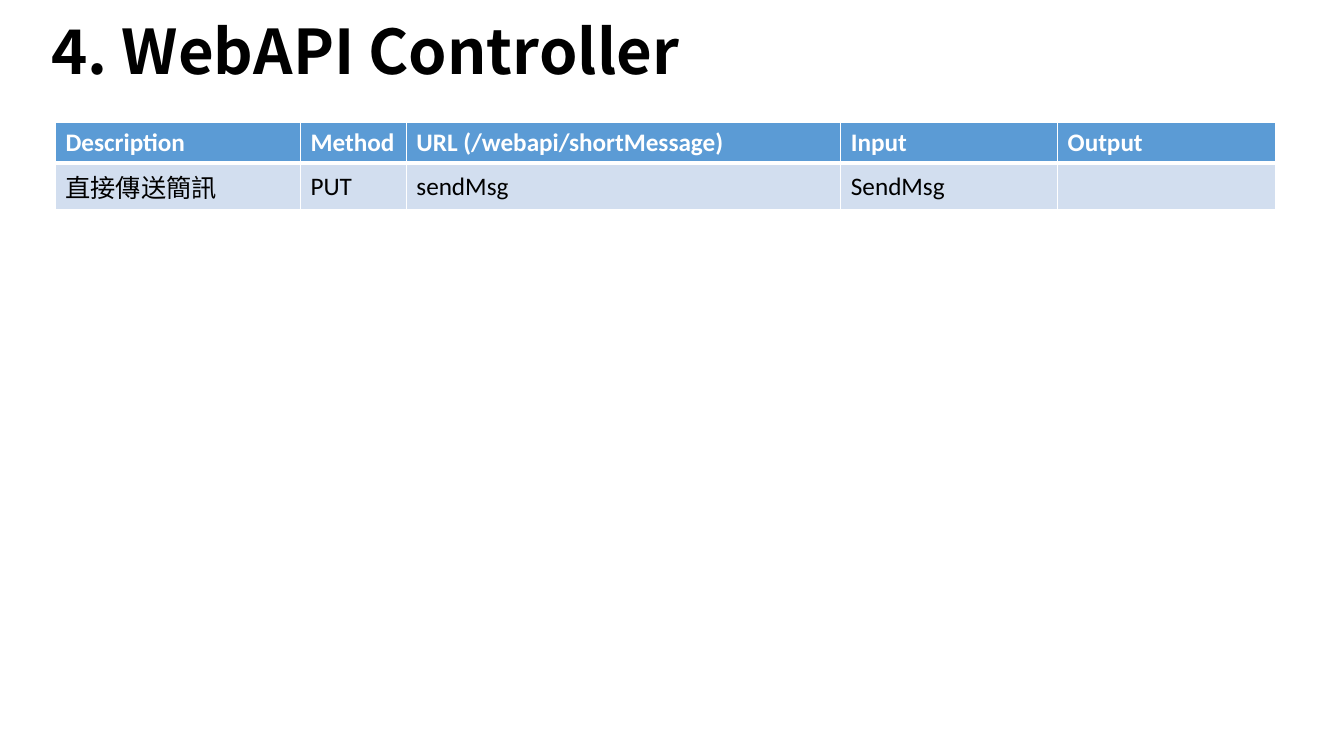
from dataclasses import dataclass

from lxml import etree
from pptx import Presentation
from pptx import util as u
from pptx.dml.color import RGBColor
from pptx.enum import text
from pptx.oxml.ns import qn


@dataclass(frozen=True)
class Theme:
    latin: str = "Calibri"
    cjk: str = "Noto Sans CJK SC"
    white: str = "FFFFFF"
    black: str = "000000"
    header: str = "5B9BD5"
    body: str = "D2DEEF"
    title_size: int = 44
    table_size: int = 18
    border: float = 1
    header_rule: float = 3


@dataclass(frozen=True)
class Column:
    heading: str
    width: float
    value: str
    font: str = Theme.latin


THEME = Theme()
COLUMNS = [
    Column("Description", 2.43, "直接傳送簡訊", THEME.cjk),
    Column("Method", 1.05, "PUT"),
    Column("URL (/webapi/shortMessage)", 4.31, "sendMsg"),
    Column("Input", 2.15, "SendMsg"),
    Column("Output", 2.16, ""),
]
ROW_HEIGHT = 0.41


def write(tf, content: str, font: str, size: int, color: str, bold: bool):
    """Put one formatted, left-aligned run into a text frame."""
    p = tf.paragraphs[0]
    p.alignment = text.PP_ALIGN.LEFT
    p.font.size = u.Pt(size)
    if not content:
        return p
    r = p.add_run()
    r.text = content
    for name, value in {"name": font, "size": u.Pt(size), "bold": bold}.items():
        setattr(r.font, name, value)
    r.font.color.rgb = RGBColor.from_string(color)
    # East Asian typeface follows the Latin one
    ea = etree.SubElement(r.font._element, qn("a:ea"))
    ea.set("typeface", font)
    return p


def add_borders(cell, top: float, bottom: float) -> None:
    """Draw white borders; they must precede the cell fill in the XML."""
    tc_pr = cell._tc.get_or_add_tcPr()
    widths = {"L": THEME.border, "R": THEME.border, "T": top, "B": bottom}
    for side, width in widths.items():
        ln = etree.SubElement(tc_pr, qn(f"a:ln{side}"), w=str(u.Pt(width)))
        fill = etree.SubElement(ln, qn("a:solidFill"))
        etree.SubElement(fill, qn("a:srgbClr"), val=THEME.white)


def fill_cell(cell, content: str, font: str, is_header: bool) -> None:
    rule, thin = THEME.header_rule, THEME.border
    add_borders(cell, thin if is_header else rule, rule if is_header else thin)
    cell.fill.solid()
    cell.fill.fore_color.rgb = RGBColor.from_string(
        THEME.header if is_header else THEME.body)
    cell.vertical_anchor = text.MSO_ANCHOR.MIDDLE
    write(cell.text_frame, content, font, THEME.table_size,
          THEME.white if is_header else THEME.black, is_header)


prs = Presentation()
prs.slide_width, prs.slide_height = u.Inches(13.33), u.Inches(7.5)
slide = prs.slides.add_slide(prs.slide_layouts[5])

# Title
title = slide.shapes.title
box = {"left": 0.41, "top": -0.1, "width": 9.3, "height": 1.28}
for name, value in box.items():
    setattr(title, name, u.Inches(value))
tf = title.text_frame
tf.vertical_anchor = text.MSO_ANCHOR.MIDDLE
tf.auto_size = text.MSO_AUTO_SIZE.NONE
p = write(tf, "4. WebAPI Controller", THEME.cjk, THEME.title_size, THEME.black, True)
p.line_spacing = 0.9

# Endpoint table
table = slide.shapes.add_table(
    2, len(COLUMNS), u.Inches(0.55), u.Inches(1.21),
    u.Inches(sum(c.width for c in COLUMNS)), u.Inches(2 * ROW_HEIGHT)).table
for row in table.rows:
    row.height = u.Inches(ROW_HEIGHT)
for i, column in enumerate(COLUMNS):
    table.columns[i].width = u.Inches(column.width)
    fill_cell(table.cell(0, i), column.heading, THEME.latin, True)
    fill_cell(table.cell(1, i), column.value, column.font, False)

prs.save("out.pptx")
